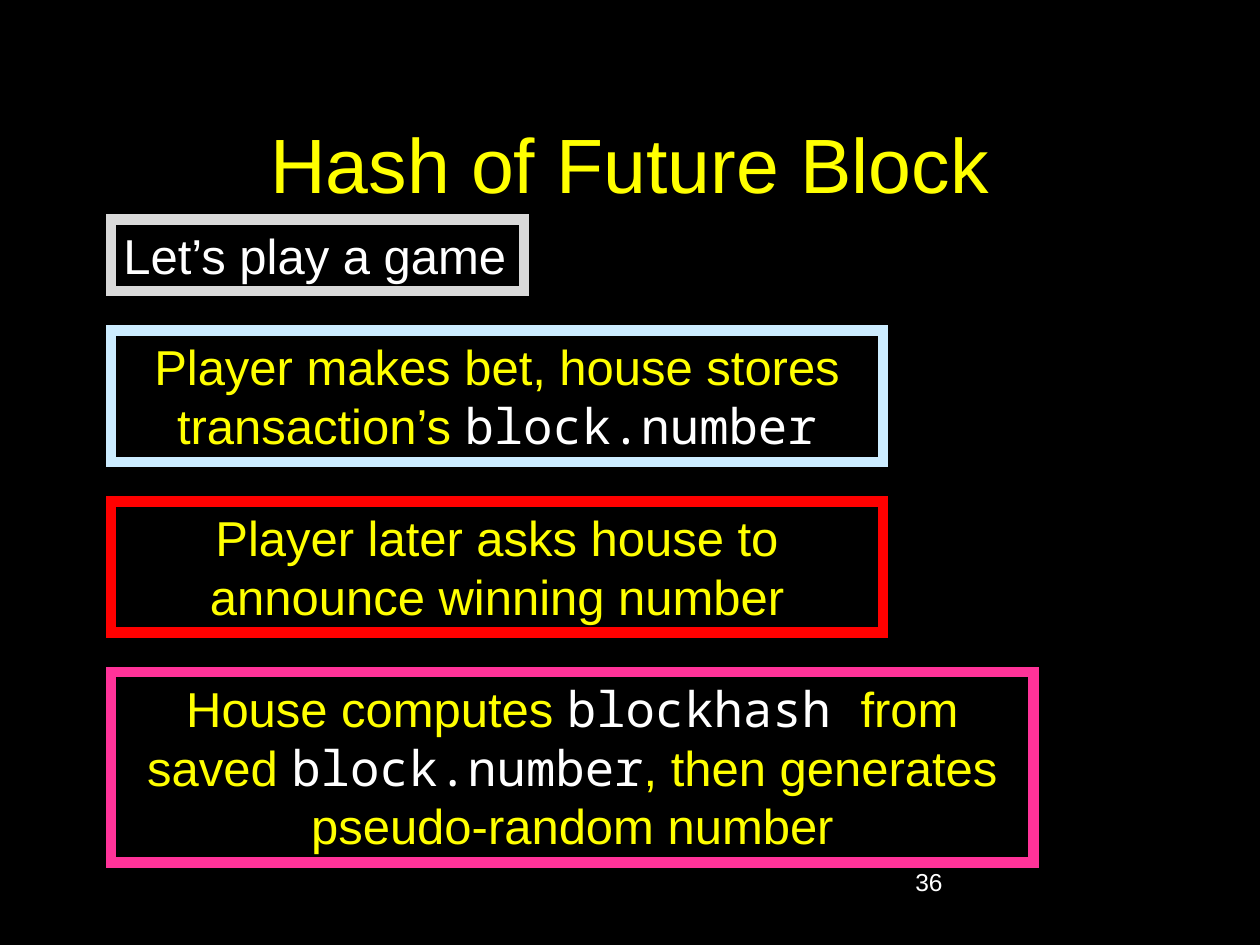
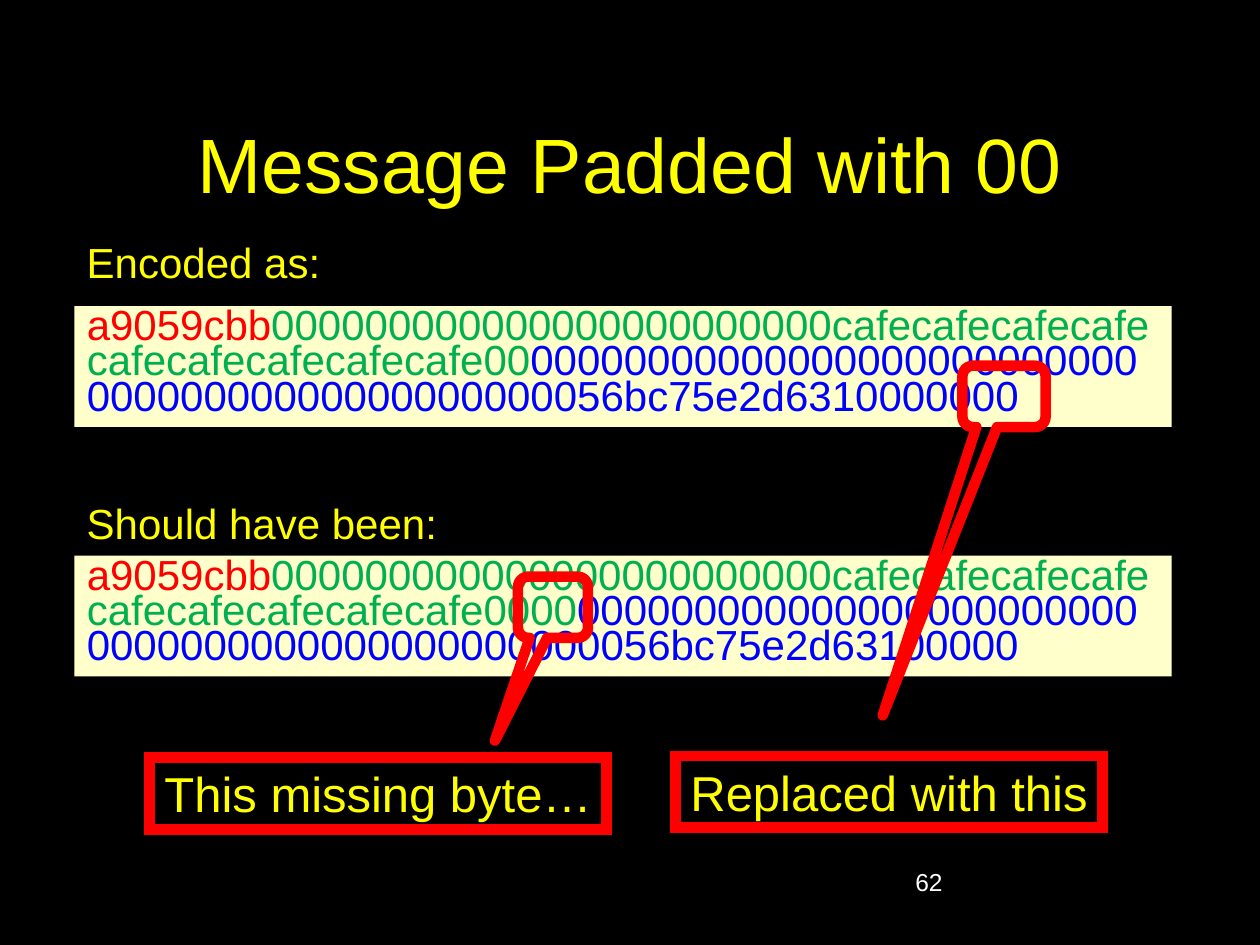
from lxml.etree import SubElement
from pptx import Presentation
from pptx.dml.color import RGBColor
from pptx.enum.shapes import MSO_SHAPE
from pptx.enum.text import MSO_ANCHOR, MSO_AUTO_SIZE, PP_ALIGN
from pptx.oxml.ns import qn
from pptx.util import Pt

BLACK = RGBColor(0x00, 0x00, 0x00)
WHITE = RGBColor(0xFF, 0xFF, 0xFF)
YELLOW = RGBColor(0xFF, 0xFF, 0x00)
RED = RGBColor(0xFF, 0x00, 0x00)
GREEN = RGBColor(0x00, 0xB0, 0x50)
BLUE = RGBColor(0x00, 0x00, 0xFF)
CREAM = RGBColor(0xFF, 0xFF, 0xCC)
GREY = RGBColor(0xD9, 0xD9, 0xD9)
PALE_BLUE = RGBColor(0xCC, 0xEC, 0xFF)
PINK = RGBColor(0xFF, 0x33, 0x99)

PROSE, CODE = "Arial", "Noto Sans Mono"
BORDER = Pt(6)
TITLE_FORMAT = {"word_wrap": True, "auto_size": MSO_AUTO_SIZE.NONE,
                "vertical_anchor": MSO_ANCHOR.MIDDLE}


def write(frame, spans, size, align=PP_ALIGN.LEFT):
    para = frame.paragraphs[0]
    para.alignment = align
    for text, color, font in spans:
        span = para.add_run()
        span.text = text
        for name, value in {"size": Pt(size), "name": font}.items():
            setattr(span.font, name, value)
        span.font.color.rgb = color
    return para


def add_box(page, place, spans, size, border=None, fill=BLACK,
            align=PP_ALIGN.CENTER, wrap=True):
    box = page.shapes.add_shape(MSO_SHAPE.RECTANGLE, *map(Pt, place))
    box.shadow.inherit = False
    box.fill.solid()
    box.fill.fore_color.rgb = fill
    if border is None:
        box.line.fill.background()
    else:
        box.line.color.rgb = border
        box.line.width = BORDER
        outline = box._element.spPr.find(qn("a:ln"))
        SubElement(outline, qn("a:miter"), lim="800000")
    box.text_frame.word_wrap = wrap
    box.text_frame.vertical_anchor = MSO_ANCHOR.TOP
    return write(box.text_frame, spans, size, align)


deck = Presentation()
deck.slide_width, deck.slide_height = Pt(720), Pt(540)
background = deck.slide_master.background.fill
background.solid()
background.fore_color.rgb = BLACK

pages = []
for heading, number in [("Hash of Future Block", "36"),
                        ("Message Padded with 00", "62")]:
    page = deck.slides.add_slide(deck.slide_layouts[5])
    title = page.shapes.title
    for name, value in {"left": 54, "top": 48, "width": 612, "height": 90}.items():
        setattr(title, name, Pt(value))
    for name, value in TITLE_FORMAT.items():
        setattr(title.text_frame, name, value)
    write(title.text_frame, [(heading, YELLOW, PROSE)], 44, PP_ALIGN.CENTER)
    footer = page.shapes.add_textbox(Pt(516), Pt(492), Pt(150), Pt(36))
    footer.text_frame.word_wrap = True
    write(footer.text_frame, [(number, WHITE, PROSE)], 14)
    pages.append(page)
game_page, message_page = pages

game_steps = [
    (189, 441, 75, PALE_BLUE, [
        ("Player makes bet, house stores transaction’s ", YELLOW, PROSE),
        ("block.number", WHITE, CODE)]),
    (286.5, 441, 75, RED, [
        ("Player later asks house to announce winning number", YELLOW, PROSE)]),
    (384, 527, 109, PINK, [
        ("House computes ", YELLOW, PROSE),
        ("blockhash ", WHITE, CODE),
        ("from saved ", YELLOW, PROSE),
        ("block.number", WHITE, CODE),
        (", then generates pseudo-random number", YELLOW, PROSE)]),
]
for top, width, height, border, spans in game_steps:
    add_box(game_page, (63.5, top, width, height), spans, 28, border)
add_box(game_page, (63.5, 125.5, 236, 41), [("Let’s play a game", WHITE, PROSE)],
        28, GREY, align=PP_ALIGN.LEFT, wrap=False)

messages = [
    ("Encoded as:", 131.5, 175,
     "000000000000000000000000cafecafecafecafecafecafecafecafecafe00",
     "0000000000000000000000000000000000000000000000056bc75e2d6310000000"),
    ("Should have been:", 280.5, 317.5,
     "000000000000000000000000cafecafecafecafecafecafecafecafecafe0000",
     "0000000000000000000000000000000000000000000000056bc75e2d63100000"),
]
for label, label_top, data_top, address, amount in messages:
    add_box(message_page, (42.5, label_top, 230, 36), [(label, YELLOW, PROSE)],
            24, align=PP_ALIGN.LEFT)
    para = add_box(message_page, (42.5, data_top, 627, 69),
                   [("a9059cbb", RED, PROSE), (address, GREEN, PROSE),
                    (amount, BLUE, PROSE)],
                   24, fill=CREAM, align=PP_ALIGN.LEFT)
    para.line_spacing = 0.7

byte_notes = [
    ("This missing byte…", (85.5, 433, 261, 41),
     (296, 329.5, 40, 35), (-0.83, 2.18, 0.17)),
    ("Replaced with this", (386, 432, 244, 41),
     (550, 209, 47.5, 35), (-1.46, 5.21, 0.17)),
]
for note, note_place, byte_place, tail in byte_notes:
    add_box(message_page, note_place, [(note, YELLOW, PROSE)], 28, RED, wrap=False)
    callout = message_page.shapes.add_shape(
        MSO_SHAPE.ROUNDED_RECTANGULAR_CALLOUT, *map(Pt, byte_place))
    callout.shadow.inherit = False
    callout.fill.background()
    callout.line.color.rgb = RED
    callout.line.width = BORDER
    for index, value in enumerate(tail):
        callout.adjustments[index] = value

deck.save("out.pptx")
